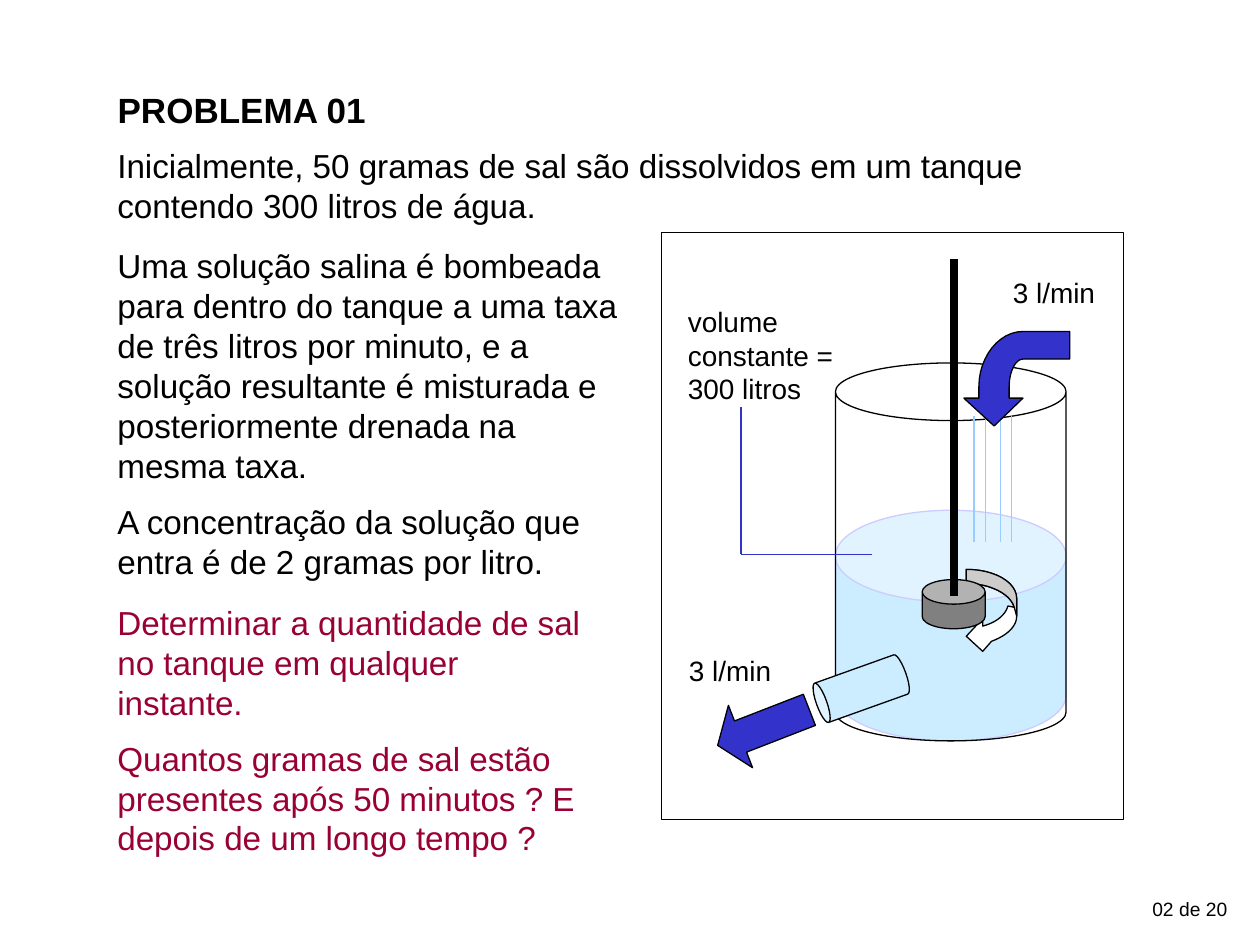
"""Build the slide about the salt solution tank problem."""
from dataclasses import dataclass
from typing import Optional

from lxml import etree
from pptx import Presentation
from pptx.dml.color import RGBColor
from pptx.enum.shapes import MSO_CONNECTOR as Connector, MSO_SHAPE as Preset
from pptx.enum.text import MSO_ANCHOR as Anchor, PP_ALIGN as Align
from pptx.oxml.ns import qn
from pptx.util import Pt

BLACK, WHITE, CRIMSON = "000000", "FFFFFF", "990033"
BLUE, WATER, STREAM = "3333CC", "CCECFF", "99CCFF"


@dataclass
class Label:
    paragraphs: list[str]
    left: float
    top: float
    width: float
    height: float
    size: float = 19
    color: str = BLACK
    gaps: tuple[float, ...] = ()
    align: Align = Align.LEFT


@dataclass
class Solid:
    preset: Preset
    left: float
    top: float
    width: float
    height: float
    fill: Optional[str]
    line: str = BLACK
    adjustments: tuple[float, ...] = ()
    rotation: float = 0


@dataclass
class Line:
    start: tuple[float, float]
    end: tuple[float, float]
    color: str
    width: float = 0.75


@dataclass
class Outline:
    steps: list[tuple[float, ...]]
    fill: str


TEXTS = [
    Label(["Inicialmente, 50 gramas de sal são dissolvidos em um tanque "
           "contendo 300 litros de água."], 60, 79.5, 582, 51),
    Label(["Uma solução salina é bombeada para dentro do tanque a uma taxa de "
           "três litros por minuto, e a solução resultante é misturada e "
           "posteriormente drenada na mesma taxa.",
           "A concentração da solução que entra é de 2 gramas por litro."],
          60, 136.8, 300, 199.5, gaps=(0, 9.2)),
    Label(["Determinar a quantidade de sal no tanque em qualquer instante.",
           "Quantos gramas de sal estão presentes após 50 minutos ? E",
           "depois de um longo tempo ?"],
          60, 340.6, 282, 154, color=CRIMSON, gaps=(0, 9.2, 0)),
    Label(["02 de 20"], 642, 509, 66.5, 21, size=11, align=Align.RIGHT),
]
DIAGRAM = [
    Solid(Preset.RECTANGLE, 378, 133, 264, 335.5, WHITE),
    Solid(Preset.CAN, 477.4, 291.6, 131.8, 131.8, WATER, "CCCCFF", (0.397,)),
    Solid(Preset.CAN, 477.4, 207.4, 131.8, 216, None, BLACK, (0.25,)),
    Solid(Preset.CAN, 480.2, 366.5, 23.8, 54, WATER, BLACK, (0.25,), 250.3),
    Solid(Preset.LEFT_ARROW, 408.2, 396.7, 56.2, 38.2, BLUE, BLACK,
          (0.5, 0.367), 338.8),
    *[Line((x, 238), (x, 310), STREAM) for x in (556.6, 563, 571.7, 578.2)],
    Outline([(611.3, 189.4), (584.6, 189.4),
             (571, 189.4, 559.4, 203.8, 559.4, 221), (559.4, 227.5),
             (550.8, 227.5), (568.1, 243.4), (584.6, 227.5), (576.7, 227.5),
             (576.7, 221), (576.7, 212.4, 580.3, 205.2, 584.6, 205.2),
             (611.3, 205.2)], BLUE),
    Outline([(552.2, 325.4), (568.1, 325.4, 581, 332.6, 581, 342),
             (581, 352.1), (581, 357.8, 576, 362.9, 566.6, 366.5),
             (561.6, 372.2), (552.2, 363.6), (561.6, 353.5), (561.6, 357.8),
             (569.5, 355.7, 574.6, 351.4, 576, 346.3), (579.6, 347),
             (577.4, 339.1, 565.2, 333.4, 552.2, 333.4)], WHITE),
    Outline([(552.2, 325.4), (568.1, 325.4, 581, 332.6, 581, 342),
             (581, 352.1), (579.6, 347),
             (577.4, 339.1, 565.2, 333.4, 552.2, 333.4)], "CCCCCC"),
    Solid(Preset.CAN, 527, 331.2, 36, 28.1, "808080", BLACK, (0.5,)),
    Line((545, 148.3), (545, 340.6), BLACK, 4.5),
    Label(["3 l/min"], 571.7, 154.1, 82, 26.6, size=16),
    Label(["3 l/min"], 386.6, 370.1, 82, 26.6, size=16),
    Label(["volume constante =", "300 litros"], 386, 170.6, 105, 65, size=16),
    Line((423.4, 232.6), (423.4, 316.8), BLUE),
    Line((423.4, 316.8), (498.2, 316.8), BLUE),
]


def rgb(color: str) -> RGBColor:
    """Turn a hex string into a colour."""
    return RGBColor.from_string(color)


def paint(shape, fill: Optional[str], line: str) -> None:
    """Set the fill and the outline of a shape."""
    shape.shadow.inherit = False
    if fill:
        shape.fill.solid()
        shape.fill.fore_color.rgb = rgb(fill)
    else:
        shape.fill.background()
    shape.line.color.rgb = rgb(line)
    shape.line.width = Pt(0.75)


def write(shape, label: Label, bold: bool = False) -> None:
    """Fill a text shape with the paragraphs of a label."""
    frame = shape.text_frame
    frame.word_wrap = True
    frame.vertical_anchor = Anchor.TOP
    frame.margin_left = frame.margin_right = Pt(7.2)
    frame.margin_top = frame.margin_bottom = Pt(3.6)
    frame.text = "\n".join(label.paragraphs)
    gaps = label.gaps or (0,) * len(label.paragraphs)
    for paragraph, gap in zip(frame.paragraphs, gaps):
        paragraph.alignment = label.align
        paragraph.line_spacing = 1.0
        paragraph.space_before = Pt(gap)
        paragraph.font.name = "Arial"
        paragraph.font.size = Pt(label.size)
        paragraph.font.bold = bold
        paragraph.font.color.rgb = rgb(label.color)


def draw_label(slide, label: Label) -> None:
    """Add a text box."""
    box = slide.shapes.add_textbox(
        Pt(label.left), Pt(label.top), Pt(label.width), Pt(label.height))
    write(box, label)


def draw_solid(slide, solid: Solid) -> None:
    """Add a preset shape."""
    shape = slide.shapes.add_shape(
        solid.preset, Pt(solid.left), Pt(solid.top),
        Pt(solid.width), Pt(solid.height))
    for index, value in enumerate(solid.adjustments):
        shape.adjustments[index] = value
    shape.rotation = solid.rotation
    paint(shape, solid.fill, solid.line)


def draw_line(slide, line: Line) -> None:
    """Add a straight line without a shadow."""
    connector = slide.shapes.add_connector(
        Connector.STRAIGHT, *map(Pt, line.start + line.end))
    connector.line.color.rgb = rgb(line.color)
    connector.line.width = Pt(line.width)
    etree.SubElement(connector._element.spPr, qn("a:effectLst"))


def curve_points(start: tuple, step: tuple, count: int = 12) -> list[tuple]:
    """Return points along the cubic curve from start to the end of step."""
    anchors = [start, step[:2], step[2:4], step[4:]]
    points = []
    for t in (index / count for index in range(1, count + 1)):
        weights = ((1 - t) ** 3, 3 * t * (1 - t) ** 2, 3 * t * t * (1 - t), t ** 3)
        points.append(tuple(
            sum(weight * anchor[axis] for weight, anchor in zip(weights, anchors))
            for axis in (0, 1)))
    return points


def draw_outline(slide, outline: Outline) -> None:
    """Add a closed freeform of straight and curved steps."""
    points = [outline.steps[0]]
    for step in outline.steps[1:]:
        points += [step] if len(step) == 2 else curve_points(points[-1], step)
    corners = [(Pt(x), Pt(y)) for x, y in points]
    builder = slide.shapes.build_freeform(*corners[0])
    builder.add_line_segments(corners[1:], close=True)
    paint(builder.convert_to_shape(), outline.fill, BLACK)


def main() -> None:
    """Build and save the presentation."""
    presentation = Presentation()
    presentation.slide_width, presentation.slide_height = Pt(720), Pt(540)
    slide = presentation.slides.add_slide(presentation.slide_layouts[5])
    heading = Label(["PROBLEMA 01"], 60, 46.8, 582, 31, size=20)
    title = slide.shapes.title
    title.left, title.top = Pt(heading.left), Pt(heading.top)
    title.width, title.height = Pt(heading.width), Pt(heading.height)
    write(title, heading, bold=True)
    draw = {Label: draw_label, Solid: draw_solid,
            Line: draw_line, Outline: draw_outline}
    for item in TEXTS + DIAGRAM:
        draw[type(item)](slide, item)
    presentation.save("out.pptx")


if __name__ == "__main__":
    main()
